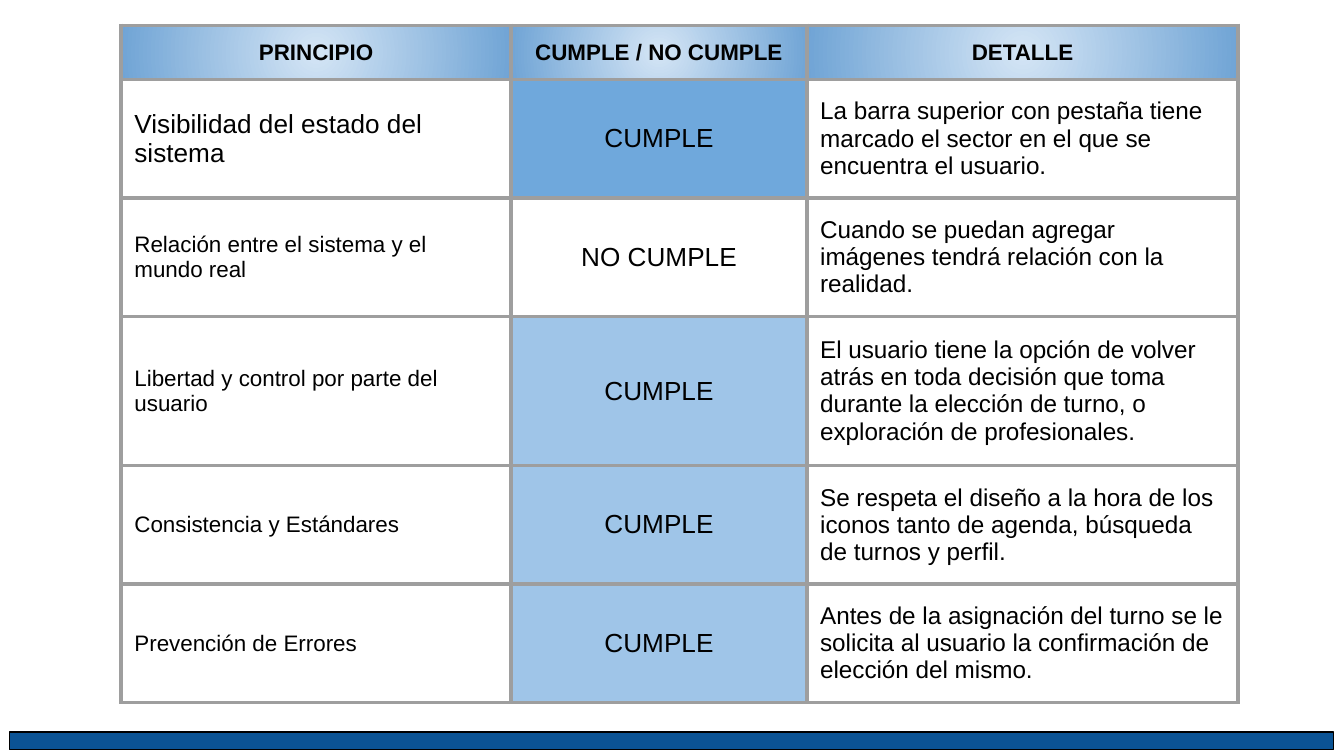
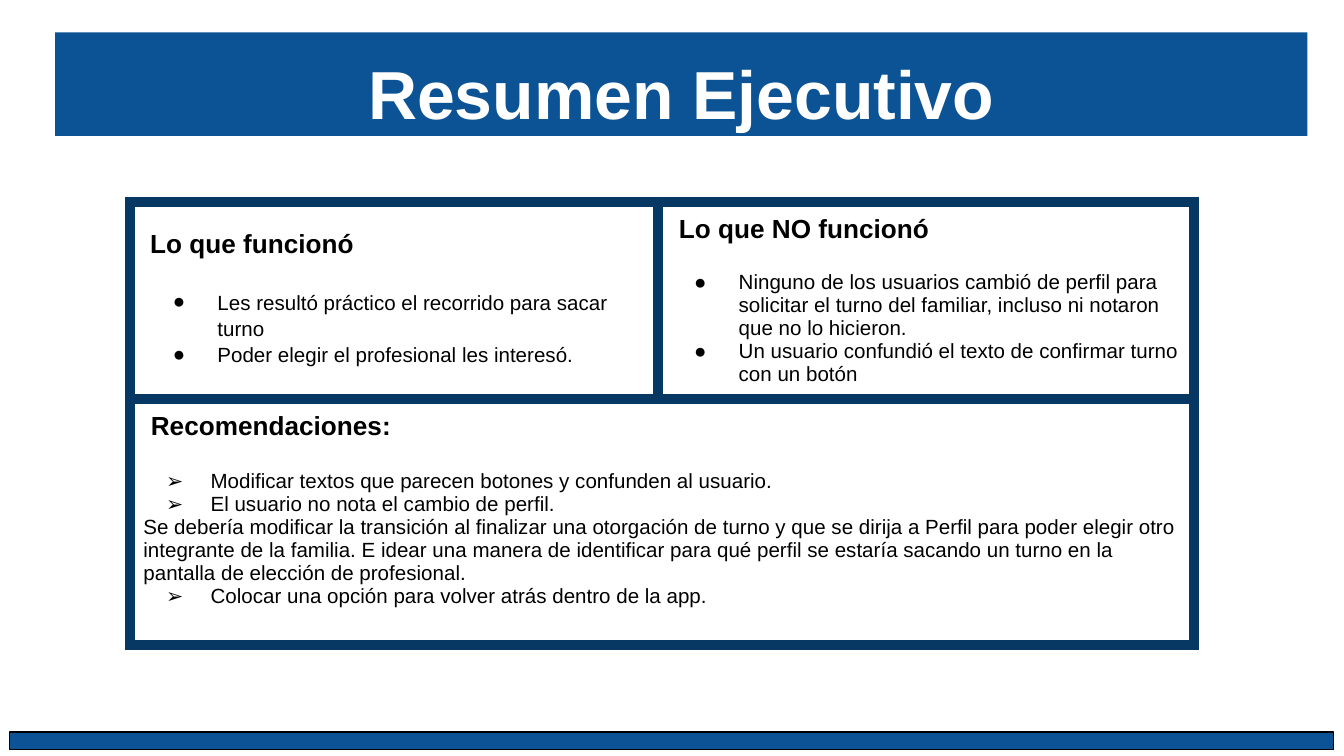
"""Build two slides: a table of usability principles and an executive summary."""
from dataclasses import dataclass

import lxml.etree
import pptx
import pptx.dml.color
import pptx.enum.shapes
import pptx.enum.text
import pptx.oxml.ns
import pptx.util

Cm = pptx.util.Cm
Pt = pptx.util.Pt
ALIGN = pptx.enum.text.PP_ALIGN
ANCHOR = pptx.enum.text.MSO_ANCHOR
RECTANGLE = pptx.enum.shapes.MSO_SHAPE.RECTANGLE

FONT = "Arial"
BLACK, WHITE = "000000", "FFFFFF"
BLUE, NAVY, GREY = "0B5394", "073763", "9E9E9E"
STRONG_BLUE, PALE_BLUE = "6FA8DC", "9FC5E8"
HEADER_CENTRE, HEADER_EDGE = "D4E5F5", "70A4D5"
INSET = Cm(0.25)


@dataclass(frozen=True)
class Principle:
    """One assessed usability principle."""
    name: str
    verdict: str
    detail: str
    fill: str = PALE_BLUE
    name_size: float = 12
    height: float = 2.24


@dataclass(frozen=True)
class Line:
    """One paragraph with its formatting; lengths are in cm and points."""
    text: str
    size: float = 11
    bold: bool = False
    color: str = BLACK
    align: ALIGN = ALIGN.LEFT
    bullet: str = ""
    indent: float = 0
    after: float = 0
    spacing: float = 1


@dataclass(frozen=True)
class Grid:
    """Place, columns, rows and borders of a table; lengths are in cm."""
    left: float
    top: float
    columns: tuple[float, ...]
    rows: tuple[float, ...]
    border: str
    border_width: float


HEADERS = ("PRINCIPIO", "CUMPLE / NO CUMPLE", "DETALLE")
PRINCIPLES = (
    Principle("Visibilidad del estado del sistema", "CUMPLE",
              "La barra superior con pestaña tiene marcado el sector en el que se "
              "encuentra el usuario.", STRONG_BLUE, 14),
    Principle("Relación entre el sistema y el mundo real", "NO CUMPLE",
              "Cuando se puedan agregar imágenes tendrá relación con la realidad.", ""),
    Principle("Libertad y control por parte del usuario", "CUMPLE",
              "El usuario tiene la opción de volver atrás en toda decisión que toma "
              "durante la elección de turno, o exploración de profesionales.", height=2.82),
    Principle("Consistencia y Estándares", "CUMPLE",
              "Se respeta el diseño a la hora de los iconos tanto de agenda, búsqueda "
              "de turnos y perfil."),
    Principle("Prevención de Errores", "CUMPLE",
              "Antes de la asignación del turno se le solicita al usuario la confirmación "
              "de elección del mismo."),
)
WORKED = (
    Line("Lo que funcionó", 14, True, after=15.5, spacing=1.07),
    Line("Les resultó práctico el recorrido para sacar turno", bullet="●", spacing=1.07),
    Line("Poder elegir el profesional les interesó.", bullet="●", spacing=1.07),
)
FAILED = (
    Line("Lo que NO funcionó", 14, True, indent=0.14, after=14.5),
    Line("Ninguno de los usuarios cambió de perfil para solicitar el turno del familiar, "
         "incluso ni notaron que no lo hicieron.", bullet="●"),
    Line("Un usuario confundió el texto de confirmar turno con un botón", bullet="●"),
)
RECOMMENDATIONS = (
    Line("Recomendaciones:", 14, True, indent=0.14, after=15.5),
    Line("Modificar textos que parecen botones y confunden al usuario.", bullet="➢"),
    Line("El usuario no nota el cambio de perfil.", bullet="➢"),
    Line("Se debería modificar la transición al finalizar una otorgación de turno y que se "
         "dirija a Perfil para poder elegir otro integrante de la familia. E idear una manera "
         "de identificar para qué perfil se estaría sacando un turno en la pantalla de "
         "elección de profesional."),
    Line("Colocar una opción para volver atrás dentro de la app.", bullet="➢"),
)


def rgb(color: str) -> pptx.dml.color.RGBColor:
    """Turn a hex string into a colour."""
    return pptx.dml.color.RGBColor.from_string(color)


def add_xml(parent, tag: str, **attributes: str):
    """Append a DrawingML element and return it."""
    child = lxml.etree.SubElement(parent, pptx.oxml.ns.qn(f"a:{tag}"))
    for name, value in attributes.items():
        child.set(name, value)
    return child


def write(frame, lines: tuple[Line, ...]) -> None:
    """Fill a text frame with formatted paragraphs."""
    for number, line in enumerate(lines):
        paragraph = frame.paragraphs[0] if number == 0 else frame.add_paragraph()
        paragraph.text = line.text
        properties = paragraph._p.get_or_add_pPr()
        if line.bullet:
            properties.set("marL", str(Cm(1.27)))
            properties.set("indent", str(Cm(-0.84)))
            add_xml(add_xml(properties, "buClr"), "srgbClr", val=BLACK)
            add_xml(properties, "buFont", typeface=FONT)
            add_xml(properties, "buChar", char=line.bullet)
        else:
            properties.set("marL", str(Cm(line.indent)))
            properties.set("indent", "0")
            add_xml(properties, "buNone")
        paragraph.alignment = line.align
        paragraph.line_spacing = line.spacing
        paragraph.space_before = Pt(0)
        paragraph.space_after = Pt(line.after)
        paragraph.font.name = FONT
        paragraph.font.size = Pt(line.size)
        paragraph.font.bold = line.bold
        paragraph.font.color.rgb = rgb(line.color)


def set_insets(target) -> None:
    """Give a text frame or a cell the shared inner margins."""
    target.margin_left = target.margin_right = INSET
    target.margin_top = target.margin_bottom = INSET


def add_grid(slide, grid: Grid):
    """Add an unfilled table with equal borders around every cell."""
    table = slide.shapes.add_table(
        len(grid.rows), len(grid.columns), Cm(grid.left), Cm(grid.top),
        Cm(sum(grid.columns)), Cm(sum(grid.rows))).table
    table.first_row = table.horz_banding = False
    for column, width in zip(table.columns, grid.columns):
        column.width = Cm(width)
    for row, height in zip(table.rows, grid.rows):
        row.height = Cm(height)
    for cell in table.iter_cells():
        set_insets(cell)
        properties = cell._tc.get_or_add_tcPr()
        for side in ("lnL", "lnR", "lnT", "lnB"):
            border = add_xml(properties, side, w=str(Pt(grid.border_width)))
            add_xml(add_xml(border, "solidFill"), "srgbClr", val=grid.border)
        cell.fill.background()
    return table


def fill_header(cell) -> None:
    """Give a header cell a gradient that spreads from its centre."""
    properties = cell._tc.get_or_add_tcPr()
    properties.remove(properties.find(pptx.oxml.ns.qn("a:noFill")))
    gradient = add_xml(properties, "gradFill")
    stops = add_xml(gradient, "gsLst")
    for position, color in (("0", HEADER_CENTRE), ("100000", HEADER_EDGE)):
        add_xml(add_xml(stops, "gs", pos=position), "srgbClr", val=color)
    add_xml(add_xml(gradient, "path", path="circle"), "fillToRect",
            l="50000", t="50000", r="50000", b="50000")


def add_footer_band(slide) -> None:
    """Add the blue band at the foot of a slide."""
    band = slide.shapes.add_shape(RECTANGLE, Cm(0.18), Cm(13.84), Cm(25.02), Cm(0.33))
    band.shadow.inherit = False
    band.fill.solid()
    band.fill.fore_color.rgb = rgb(BLUE)
    band.line.color.rgb = rgb(BLACK)
    band.line.width = Pt(0.75)


def set_title(slide, text: str) -> None:
    """Move the title placeholder and format it as a blue banner."""
    title = slide.shapes.title
    title.left, title.top, title.width, title.height = Cm(1.04), Cm(0.61), Cm(23.67), Cm(1.96)
    title.fill.solid()
    title.fill.fore_color.rgb = rgb(BLUE)
    frame = title.text_frame
    set_insets(frame)
    frame.margin_top, frame.margin_bottom = Cm(0.36), Cm(0.08)
    frame.auto_size = pptx.enum.text.MSO_AUTO_SIZE.NONE
    frame.vertical_anchor = ANCHOR.TOP
    write(frame, (Line(text, 36.4, True, WHITE, ALIGN.CENTER),))


def build_principles(slide) -> None:
    """Draw the table of assessed principles."""
    heights = (1.02, *(principle.height for principle in PRINCIPLES))
    table = add_grid(slide, Grid(2.29, 0.48, (7.37, 5.59, 8.15), heights, GREY, 2.25))
    for cell in table.iter_cells():
        cell.vertical_anchor = ANCHOR.MIDDLE
    for column, header in enumerate(HEADERS):
        cell = table.cell(0, column)
        fill_header(cell)
        write(cell.text_frame, (Line(header, 12, True, align=ALIGN.CENTER),))
    for row, principle in enumerate(PRINCIPLES, start=1):
        entries = (
            Line(principle.name, principle.name_size),
            Line(principle.verdict, 14, align=ALIGN.CENTER),
            Line(principle.detail, 13),
        )
        for column, entry in enumerate(entries):
            write(table.cell(row, column).text_frame, (entry,))
        if principle.fill:
            verdict = table.cell(row, 1)
            verdict.fill.solid()
            verdict.fill.fore_color.rgb = rgb(principle.fill)
    add_footer_band(slide)


def build_summary(slide) -> None:
    """Draw the executive summary."""
    add_footer_band(slide)
    set_title(slide, "Resumen Ejecutivo")
    table = add_grid(slide, Grid(2.46, 3.81, (9.98, 10.13), (3.72, 4.65), NAVY, 6))
    table.cell(1, 0).merge(table.cell(1, 1))
    write(table.cell(0, 1).text_frame, FAILED)
    write(table.cell(1, 0).text_frame, RECOMMENDATIONS)
    worked = slide.shapes.add_textbox(Cm(2.59), Cm(4.01), Cm(9.78), Cm(3.56)).text_frame
    worked.word_wrap = True
    set_insets(worked)
    write(worked, WORKED)


def main() -> None:
    """Build and save the presentation."""
    presentation = pptx.Presentation()
    presentation.slide_width, presentation.slide_height = Cm(25.4), Cm(14.29)
    title_only, blank = presentation.slide_layouts[5], presentation.slide_layouts[6]
    build_principles(presentation.slides.add_slide(blank))
    build_summary(presentation.slides.add_slide(title_only))
    presentation.save("out.pptx")


if __name__ == "__main__":
    main()
